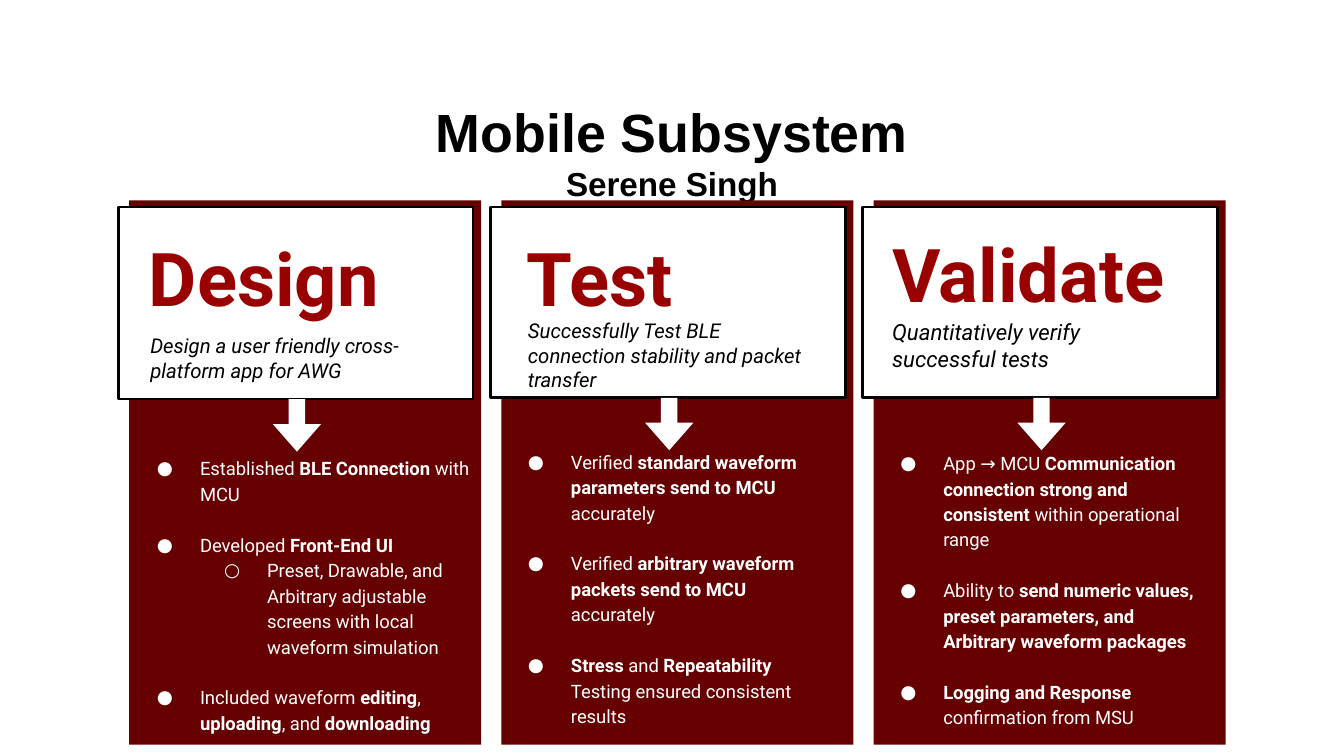
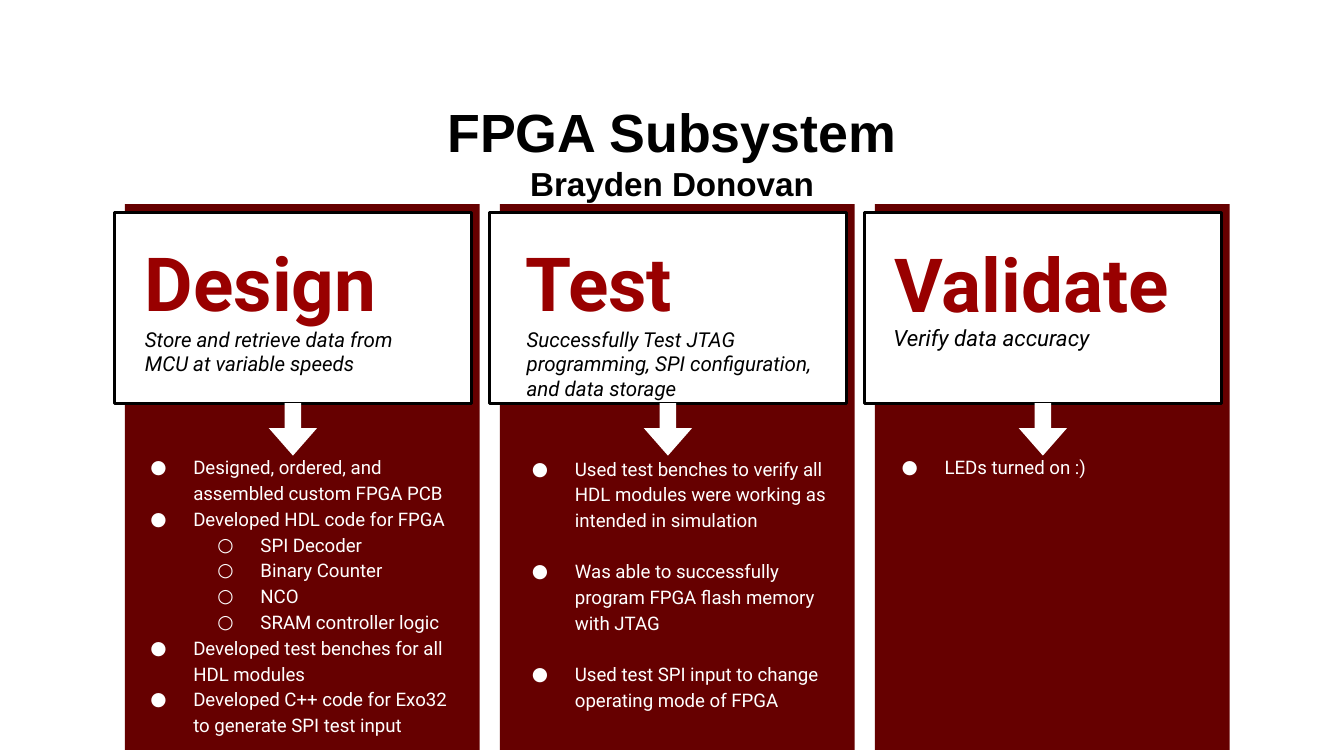
from dataclasses import dataclass, replace

from lxml.etree import SubElement
from pptx import Presentation
from pptx.dml.color import RGBColor
from pptx.enum.shapes import MSO_SHAPE
from pptx.enum.text import MSO_ANCHOR, PP_ALIGN
from pptx.oxml.ns import qn
from pptx.util import Inches, Pt


@dataclass(frozen=True)
class Theme:
    """Colours, fonts and type sizes."""
    black: str = "000000"
    white: str = "FFFFFF"
    panel: str = "660000"
    accent: str = "990000"
    title_font: str = "Arial"
    body_font: str = "Roboto"
    title: float = 28.8
    name: float = 17.8
    head: float = 40
    tag: float = 11
    large: float = 12
    body: float = 10
    gap: float = 13.6


@dataclass(frozen=True)
class Frame:
    """The measures of one slide's row of columns."""
    left: float
    top: float
    step: float
    width: float
    height: float
    card_top: float
    card_width: float


@dataclass(frozen=True)
class Column:
    """The words of one column and where they sit."""
    head: str
    head_at: tuple
    tag: str
    tag_at: tuple
    body_at: tuple
    points: tuple
    spaced: bool = True
    large: bool = False
    card: float = 1.42


class Deck:
    """Draws themed elements on the current slide."""

    def __init__(self, theme):
        self.theme = theme
        self.show = Presentation()
        self.show.slide_width = Inches(10)
        self.show.slide_height = Inches(10) * 9 // 16

    def start(self, theme):
        self.theme = theme
        self.slide = self.show.slides.add_slide(self.show.slide_layouts[6])

    def shape(self, kind, box, fill, line=None):
        item = self.slide.shapes.add_shape(kind, *map(Inches, box))
        item.shadow.inherit = False
        item.fill.solid()
        item.fill.fore_color.rgb = RGBColor.from_string(fill)
        if line:
            item.line.color.rgb = RGBColor.from_string(line)
            item.line.width = Pt(1.5)
        else:
            item.line.fill.background()
        return item

    def box(self, box, pad=0.1):
        frame = self.slide.shapes.add_textbox(*map(Inches, box)).text_frame
        frame.word_wrap = True
        frame.margin_left = frame.margin_right = Inches(0.1)
        frame.margin_top = frame.margin_bottom = Inches(pad)
        return frame

    def style(self, run, size, color, font=None, bold=False, italic=False):
        run.font.name = font or self.theme.body_font
        run.font.size = Pt(size)
        run.font.color.rgb = RGBColor.from_string(color)
        run.font.bold = bold
        run.font.italic = italic

    def title(self, title, name):
        frame = self.box((0.5, 0.79, 9, 0.66), 0.05)
        frame.vertical_anchor = MSO_ANCHOR.MIDDLE
        frame.text = f"{title}\n{name}"
        sizes = self.theme.title, self.theme.name
        for para, size in zip(frame.paragraphs, sizes):
            para.alignment = PP_ALIGN.CENTER
            self.style(para.runs[0], size, self.theme.black,
                       self.theme.title_font, bold=True)

    def label(self, text, box, size, color, **look):
        frame = self.box(box)
        frame.text = text
        self.style(frame.paragraphs[0].runs[0], size, color, **look)

    def bullet(self, para, sub):
        props = para._p.get_or_add_pPr()
        props.set("marL", str(Inches(1 if sub else 0.5)))
        props.set("indent", str(Inches(-0.32)))
        tint = SubElement(props, qn("a:buClr"))
        SubElement(tint, qn("a:srgbClr")).set("val", self.theme.white)
        size = str(round(self.theme.body * 100))
        SubElement(props, qn("a:buSzPts")).set("val", size)
        SubElement(props, qn("a:buFont")).set("typeface", self.theme.body_font)
        SubElement(props, qn("a:buChar")).set("char", "○" if sub else "●")
        para.level = int(sub)
        para.line_spacing = 1.15

    def points(self, box, lines, spaced):
        frame = self.box(box)
        for index, line in enumerate(lines):
            para = frame.add_paragraph() if index else frame.paragraphs[0]
            sub = line.startswith("- ")
            self.bullet(para, sub)
            if spaced and index and not sub:
                para.space_before = Pt(self.theme.gap)
            for turn, part in enumerate(line.removeprefix("- ").split("**")):
                if part:
                    run = para.add_run()
                    run.text = part
                    self.style(run, self.theme.body, self.theme.white,
                               bold=turn % 2 == 1)

    def column(self, frame, index, col):
        theme = self.theme
        left = frame.left + index * frame.step
        self.shape(MSO_SHAPE.RECTANGLE,
                   (left, frame.top, frame.width, frame.height), theme.panel)
        self.shape(MSO_SHAPE.RECTANGLE,
                   (left - 0.08, frame.card_top, frame.card_width, col.card),
                   theme.white, theme.black)
        self.label(col.tag, (*col.tag_at, 2.36, 0.61),
                   theme.large if col.large else theme.tag,
                   theme.black, italic=True)
        self.label(col.head, (*col.head_at, 2.36, 0.67),
                   theme.head, theme.accent, bold=True)
        arrow = self.shape(MSO_SHAPE.DOWN_ARROW,
                           (left + 1.07, frame.card_top + col.card, 0.36, 0.39),
                           theme.white)
        arrow.adjustments[0] = 0.34
        arrow.adjustments[1] = 0.57
        self.points((*col.body_at, 2.2), col.points, col.spaced)

    def page(self, theme, title, name, frame, cols):
        self.start(theme)
        self.title(title, name)
        for index, col in enumerate(cols):
            self.column(frame, index, col)


MOBILE = (
    Column("Design", (1.01, 1.63),
           "Design a user friendly cross-platform app for AWG",
           (1.02, 2.38), (0.89, 3.28, 2.77), (
               "Established** BLE Connection **with MCU",
               "Developed **Front-End UI**",
               "- Preset, Drawable, and Arbitrary adjustable screens "
               "with local waveform simulation",
               "Included waveform **editing**, **uploading**, "
               "and **downloading**",
           ), card=1.43),
    Column("Test", (3.82, 1.63),
           "Successfully Test BLE connection stability and packet transfer",
           (3.83, 2.27), (3.65, 3.23, 2.62), (
               "Verified **standard waveform parameters send to MCU **accurately",
               "Verified **arbitrary waveform packets send to MCU **accurately",
               "**Stress **and **Repeatability **Testing ensured "
               "consistent results",
           )),
    Column("Validate", (6.54, 1.6),
           "Quantitatively verify successful tests",
           (6.54, 2.27), (6.42, 3.24, 2.62), (
               "App → MCU **Communication connection strong and consistent "
               "**within operational range",
               "Ability to **send numeric values, preset parameters, "
               "and Arbitrary waveform packages**",
               "**Logging and Response **confirmation from MSU",
           ), large=True),
)

FPGA = (
    Column("Design", (0.98, 1.66),
           "Store and retrieve data from MCU at variable speeds",
           (0.98, 2.33), (0.84, 3.27, 2.64), (
               "Designed, ordered, and assembled custom FPGA PCB",
               "Developed HDL code for FPGA",
               "- SPI Decoder",
               "- Binary Counter",
               "- NCO",
               "- SRAM controller logic",
               "Developed test benches for all HDL modules",
               "Developed C++ code for Exo32 to generate SPI test input",
           ), spaced=False),
    Column("Test", (3.81, 1.66),
           "Successfully Test JTAG programming, SPI configuration, "
           "and data storage",
           (3.82, 2.33), (3.68, 3.28, 2.64), (
               "Used test benches to verify all HDL modules were working "
               "as intended in simulation",
               "Was able to successfully program FPGA flash memory with JTAG",
               "Used test SPI input to change operating mode of FPGA",
           )),
    Column("Validate", (6.56, 1.67), "Verify data accuracy",
           (6.55, 2.31), (6.43, 3.27, 2.64),
           ("LEDs turned on :)",), large=True),
)


def main():
    theme = Theme()
    small = replace(theme, head=39.7, tag=10.9, large=11.9, body=9.9)
    deck = Deck(theme)
    deck.page(small, "Mobile Subsystem", "Serene Singh",
              Frame(0.96, 1.49, 2.77, 2.62, 4.05, 1.54, 2.64), MOBILE)
    deck.page(theme, "FPGA Subsystem", "Brayden Donovan",
              Frame(0.93, 1.52, 2.79, 2.64, 4.06, 1.58, 2.66), FPGA)
    deck.show.save("out.pptx")


if __name__ == "__main__":
    main()
